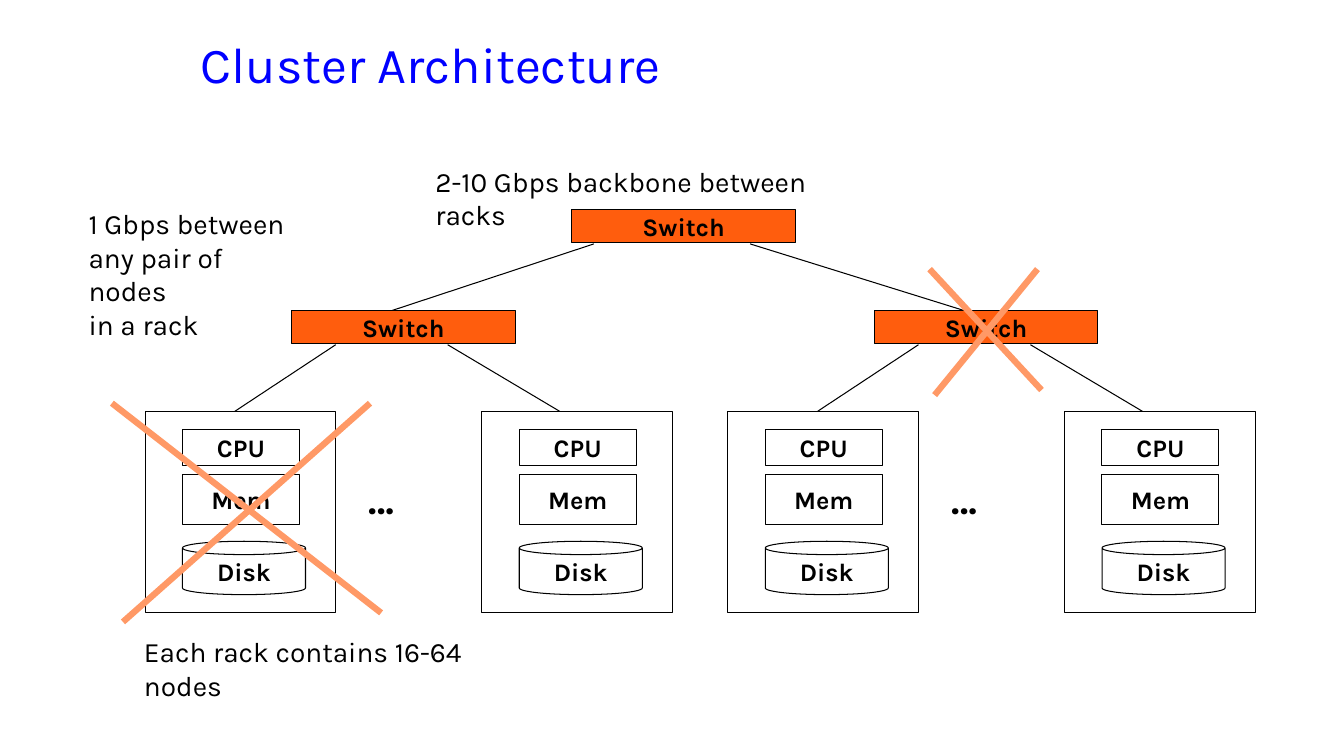
from dataclasses import dataclass

import pptx
import pptx.util
import pptx.dml.color
import pptx.enum.shapes
import pptx.enum.text
import pptx.oxml.ns
from lxml import etree

Inches = pptx.util.Inches
Pt = pptx.util.Pt
SHAPE = pptx.enum.shapes.MSO_SHAPE
ALIGN = pptx.enum.text.PP_ALIGN
ANCHOR = pptx.enum.text.MSO_ANCHOR


@dataclass(frozen=True)
class Theme:
    font: str = "Karla"
    title: str = "0000FF"
    ink: str = "000000"
    switch: str = "FF5D0D"
    cross: str = "FF9966"
    title_size: int = 36
    dots_size: int = 28
    note_size: int = 20
    label_size: int = 18
    thin: float = 0.75
    thick: float = 4.5


T = Theme()
SWITCH_W, SWITCH_H = 2.22, 0.33
NODE_W, NODE_H = 1.89, 2.0


def rgb(value):
    return pptx.dml.color.RGBColor.from_string(value)


def write(tf, text, size=T.label_size, color=T.ink, bold=False,
          align=ALIGN.LEFT, anchor=ANCHOR.TOP, wrap=True):
    tf.word_wrap = wrap
    tf.auto_size = pptx.enum.text.MSO_AUTO_SIZE.NONE
    tf.vertical_anchor = anchor
    for i, line in enumerate(text.split("\n")):
        p = tf.paragraphs[0] if i == 0 else tf.add_paragraph()
        p.alignment = align
        r = p.add_run()
        r.text = line
        r.font.name, r.font.size, r.font.bold = T.font, Pt(size), bold
        r.font.color.rgb = rgb(color)


def add_text(s, x, y, w, h, text, **fmt):
    sp = s.shapes.add_textbox(Inches(x), Inches(y), Inches(w), Inches(h))
    write(sp.text_frame, text, **fmt)


def add_box(shapes, x, y, w, h, text="", kind=SHAPE.RECTANGLE, fill=None):
    sp = shapes.add_shape(kind, Inches(x), Inches(y), Inches(w), Inches(h))
    sp.shadow.inherit = False
    if fill:
        sp.fill.solid()
        sp.fill.fore_color.rgb = rgb(fill)
    else:
        sp.fill.background()
    sp.line.color.rgb = rgb(T.ink)
    sp.line.width = Pt(T.thin)
    if text:
        write(sp.text_frame, text, bold=True, align=ALIGN.CENTER,
              anchor=ANCHOR.MIDDLE, wrap=False)


def add_line(shapes, x1, y1, x2, y2, color=T.ink, width=T.thin):
    c = shapes.add_connector(pptx.enum.shapes.MSO_CONNECTOR.STRAIGHT,
                             Inches(x1), Inches(y1), Inches(x2), Inches(y2))
    c.line.color.rgb = rgb(color)
    c.line.width = Pt(width)
    etree.SubElement(c._element.spPr, pptx.oxml.ns.qn("a:effectLst"))


def add_title(s, x, y, w, h, text):
    sp = s.shapes.title
    sp.left, sp.top, sp.width, sp.height = map(Inches, (x, y, w, h))
    write(sp.text_frame, text, size=T.title_size, color=T.title,
          anchor=ANCHOR.MIDDLE)


def add_switch(s, x, y):
    add_box(s.shapes, x, y, SWITCH_W, SWITCH_H, "Switch", fill=T.switch)


def add_node(s, x, y):
    shapes = s.shapes.add_group_shape().shapes
    left = x + 0.37
    add_box(shapes, left, y + 0.63, 1.16, 0.49, "Mem")
    add_box(shapes, left, y + 1.29, 1.22, 0.53, "Disk", kind=SHAPE.CAN)
    add_box(shapes, left, y + 0.18, 1.16, 0.36, "CPU")
    add_box(shapes, x, y, NODE_W, NODE_H)


def add_rack(s, x, y):
    """A switch above two nodes with dots between them."""
    node_y = y + 1
    add_node(s, x, node_y)
    add_node(s, x + 3.34, node_y)
    add_text(s, x + 2.12, node_y + 0.59, 0.59, 0.57, "…",
             size=T.dots_size, bold=True, wrap=False)
    add_switch(s, x + 1.45, y)
    for start, end in ((1.89, 0.89), (3.0, 4.11)):
        add_line(s.shapes, x + start, y + SWITCH_H + 0.01, x + end, node_y)


def add_backbone(s, x, y):
    """The top switch and its links to the rack switches."""
    add_switch(s, x, y)
    for start, end in ((0.22, -1.78), (1.77, 3.89)):
        add_line(s.shapes, x + start, y + SWITCH_H + 0.01, x + end, y + 1)


def add_cross(s, *strokes):
    shapes = s.shapes.add_group_shape().shapes
    for stroke in strokes:
        add_line(shapes, *stroke, color=T.cross, width=T.thick)


def build_slide(prs):
    s = prs.slides.add_slide(prs.slide_layouts[5])
    add_title(s, 1.89, 0, 10.44, 1.25, "Cluster Architecture")

    # Racks and backbone
    for x in (1.44, 7.22):
        add_rack(s, x, 3.08)
    add_backbone(s, 5.67, 2.08)

    # Notes
    for x, y, w, h, text in (
        (1.33, 6.25, 4.13, 0.44, "Each rack contains 16-64 nodes"),
        (0.78, 2.0, 2.35, 1.11, "1 Gbps between\nany pair of nodes\nin a rack"),
        (4.22, 1.58, 4.61, 0.44, "2-10 Gbps backbone between racks"),
    ):
        add_text(s, x, y, w, h, text, size=T.note_size)

    # Failed node and failed switch
    add_cross(s, (1.11, 4.0, 3.78, 6.08), (3.67, 4.0, 1.22, 6.17))
    add_cross(s, (9.22, 2.67, 10.33, 3.87), (10.29, 2.67, 9.27, 3.92))


def main():
    prs = pptx.Presentation()
    prs.slide_width, prs.slide_height = Inches(13.33), Inches(7.5)
    build_slide(prs)
    prs.save("out.pptx")


if __name__ == "__main__":
    main()
